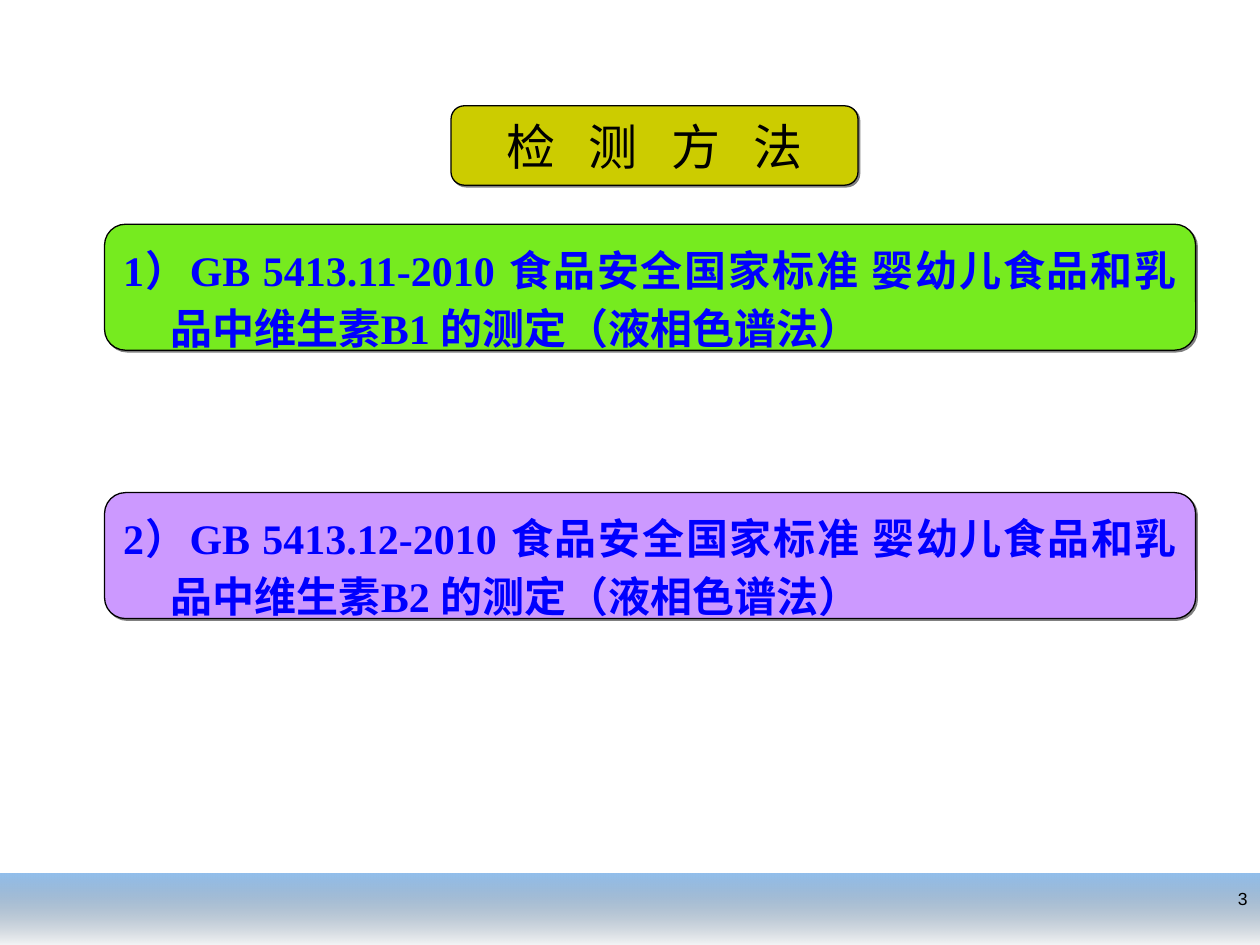
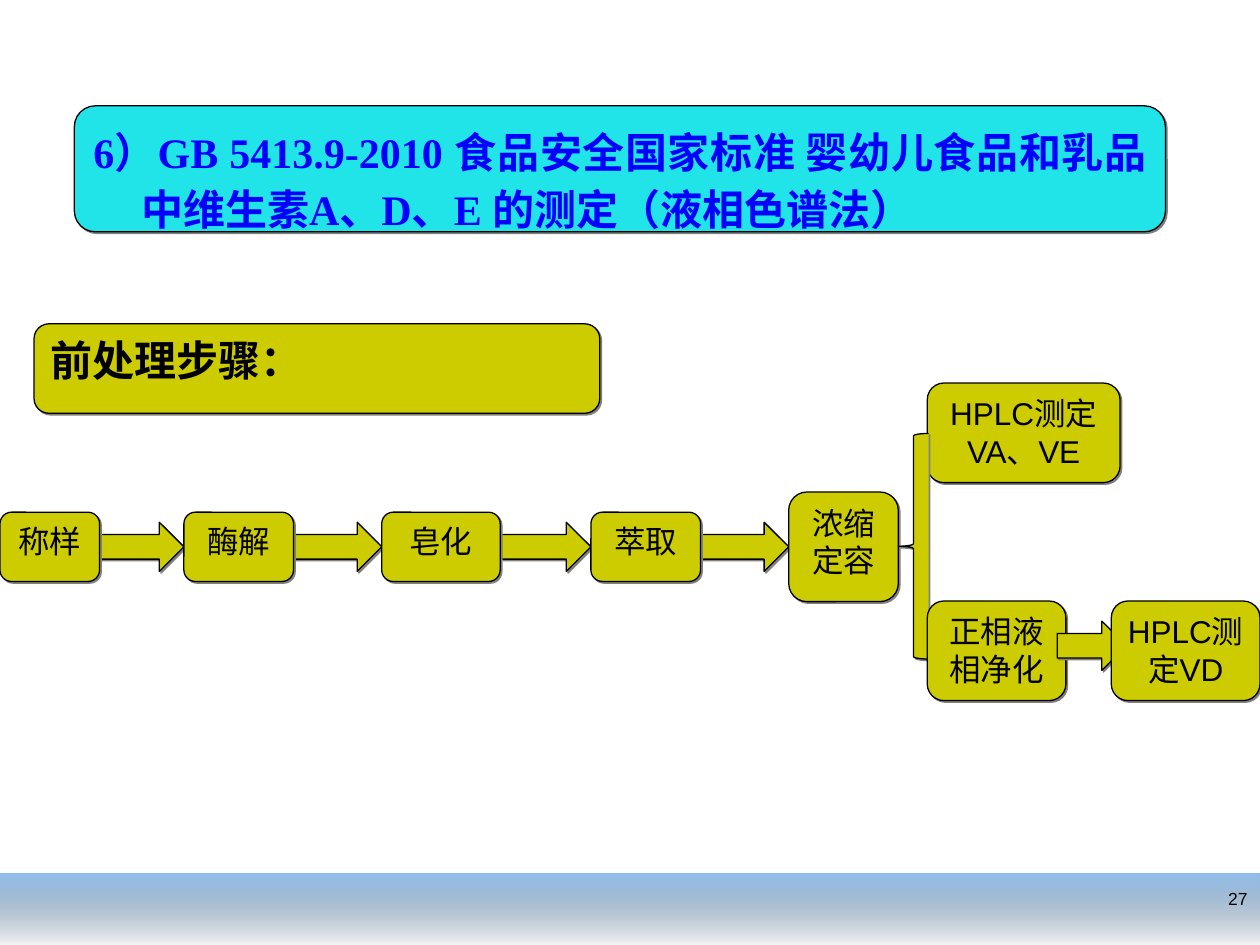
from lxml.etree import SubElement
from pptx import Presentation
from pptx.dml.color import RGBColor
from pptx.enum.shapes import MSO_SHAPE
from pptx.enum.text import MSO_ANCHOR, MSO_AUTO_SIZE, PP_ALIGN
from pptx.oxml.ns import qn
from pptx.util import Inches, Pt

OLIVE, GREEN, VIOLET, CYAN = "CCCC00", "76EB1F", "CC99FF", "21E4E9"
BLACK, BLUE, GREY = "000000", "0000FF", "808080"
BAND_TOP, BAND_BOTTOM = "91BEEB", "43586D"

METHODS_TITLE = "检 测 方 法"
METHODS = [
    ("1）GB 5413.11-2010 食品安全国家标准 婴幼儿食品和乳品中维生素B1 的测定（液相色谱法）", GREEN, 1.78),
    ("2）GB 5413.12-2010 食品安全国家标准 婴幼儿食品和乳品中维生素B2 的测定（液相色谱法）", VIOLET, 3.91),
]
PROCEDURE_TITLE = "6）GB 5413.9-2010 食品安全国家标准 婴幼儿食品和乳品中维生素A、D、E 的测定（液相色谱法）"
PROCEDURE_HEADING = "前处理步骤："
STEPS = [
    ("称样", 0, 0.79, 0.55),
    ("酶解", 1.46, 0.87, 0.55),
    ("皂化", 3.03, 0.94, 0.55),
    ("萃取", 4.69, 0.87, 0.55),
    ("浓缩\n定容", 6.26, 0.87, 0.87),
]
VITAMINS_A_E = ("HPLC测定VA、VE", (7.36, 3.04, 1.53, 0.79))
PURIFICATION = ("正相液\n相净化", (7.36, 4.77, 1.1, 0.79))
VITAMIN_D = ("HPLC测定VD", (8.82, 4.77, 1.18, 0.79))
FLOW_CENTER = 4.34
ARROW_WIDTH, ARROW_HEIGHT = 0.71, 0.39
METHOD_WIDTH, METHOD_HEIGHT = 8.66, 1
CORNER_INSET = 0.05
STEP_MARGIN = 0.07


def color(value):
    return RGBColor.from_string(value)


def decorate(shape, fill):
    shape.fill.solid()
    shape.fill.fore_color.rgb = color(fill)
    shape.line.color.rgb = color(BLACK)
    shape.line.width = Pt(0.75)
    shape.shadow.inherit = False
    effects = shape.element.spPr.find(qn("a:effectLst"))
    shadow = SubElement(effects, qn("a:outerShdw"), dist=str(Pt(1.4)), dir="2700000", algn="ctr", rotWithShape="0")
    SubElement(shadow, qn("a:srgbClr"), val=GREY)


def write(shape, text, size, align=PP_ALIGN.CENTER, font="Arial", text_color=BLACK, bold=False):
    frame = shape.text_frame
    frame.text = text
    frame.word_wrap = True
    frame.auto_size = MSO_AUTO_SIZE.NONE
    frame.vertical_anchor = MSO_ANCHOR.TOP
    for paragraph in frame.paragraphs:
        paragraph.alignment = align
        for run in paragraph.runs:
            run.font.size = Pt(size)
            run.font.name = font
            run.font.bold = bold
            run.font.color.rgb = color(text_color)


def write_method(shape, text):
    write(shape, text, 24, PP_ALIGN.JUSTIFY, "Times New Roman", BLUE, True)
    paragraph = shape.text_frame.paragraphs[0]
    paragraph.line_spacing = 1.15
    properties = paragraph._p.get_or_add_pPr()
    properties.set("marL", str(Inches(0.38)))
    properties.set("indent", str(-Inches(0.38)))


def add_block(slide, kind, box, fill=OLIVE):
    shape = slide.shapes.add_shape(kind, *map(Inches, box))
    decorate(shape, fill)
    return shape


def add_step(slide, text, box):
    step = add_block(slide, MSO_SHAPE.ROUNDED_RECTANGLE, box)
    write(step, text, 18)
    step.text_frame.margin_left = step.text_frame.margin_right = Inches(STEP_MARGIN)


def add_title(slide, box, fill):
    add_block(slide, MSO_SHAPE.ROUNDED_RECTANGLE, box, fill)
    left, top, width, height = box
    inset = CORNER_INSET * height
    title = slide.shapes.title
    title.left, title.top = Inches(left + inset), Inches(top + inset)
    title.width, title.height = Inches(width - 2 * inset), Inches(height - 2 * inset)
    slide.shapes.element.append(title.element)
    return title


def add_slide(presentation, number):
    slide = presentation.slides.add_slide(presentation.slide_layouts[5])
    page = slide.shapes.add_textbox(*map(Inches, (7.67, 7, 2.33, 0.5)))
    write(page, number, 10, PP_ALIGN.RIGHT)
    return slide


def add_band_to_layout(slide):
    band = slide.shapes.add_shape(MSO_SHAPE.RECTANGLE, *map(Inches, (0, 6.93, 10, 0.6)))
    band.shadow.inherit = False
    band.line.fill.background()
    band.fill.gradient()
    band.fill.gradient_angle = 270
    for stop, value in zip(band.fill.gradient_stops, (BAND_TOP, BAND_BOTTOM)):
        stop.color.rgb = color(value)
    last_color = band.element.spPr.findall(".//" + qn("a:srgbClr"))[-1]
    SubElement(last_color, qn("a:alpha"), val="0")
    slide.slide_layout.shapes.element.insert(2, band.element)


def build_methods(slide):
    title = add_title(slide, (3.58, 0.84, 3.23, 0.63), OLIVE)
    write(title, METHODS_TITLE, 28)
    for run in title.text_frame.paragraphs[0].runs:
        run.font._element.set("spc", "640")
    for text, fill, top in METHODS:
        box = (0.83, top, METHOD_WIDTH, METHOD_HEIGHT)
        write_method(add_block(slide, MSO_SHAPE.ROUNDED_RECTANGLE, box, fill), text)


def build_procedure(slide):
    title = add_title(slide, (0.59, 0.84, METHOD_WIDTH, METHOD_HEIGHT), CYAN)
    write_method(title, PROCEDURE_TITLE)
    heading = add_block(slide, MSO_SHAPE.ROUNDED_RECTANGLE, (0.27, 2.57, 4.49, 0.71))
    write(heading, PROCEDURE_HEADING, 24, PP_ALIGN.LEFT, bold=True)
    arrow_top = FLOW_CENTER - ARROW_HEIGHT / 2
    for text, left, width, height in STEPS[1:]:
        add_block(slide, MSO_SHAPE.RIGHT_ARROW, (left - ARROW_WIDTH, arrow_top, ARROW_WIDTH, ARROW_HEIGHT))
    for text, left, width, height in STEPS:
        add_step(slide, text, (left, FLOW_CENTER - height / 2, width, height))
    add_step(slide, *VITAMINS_A_E)
    add_block(slide, MSO_SHAPE.LEFT_BRACE, (7.13, 3.44, 0.24, 1.79))
    add_step(slide, *PURIFICATION)
    add_block(slide, MSO_SHAPE.RIGHT_ARROW, (8.39, 4.93, 0.55, ARROW_HEIGHT))
    add_step(slide, *VITAMIN_D)


def main():
    presentation = Presentation()
    presentation.slide_width, presentation.slide_height = Inches(10), Inches(7.5)
    methods = add_slide(presentation, "3")
    add_band_to_layout(methods)
    build_methods(methods)
    build_procedure(add_slide(presentation, "27"))
    presentation.save("out.pptx")


if __name__ == "__main__":
    main()
